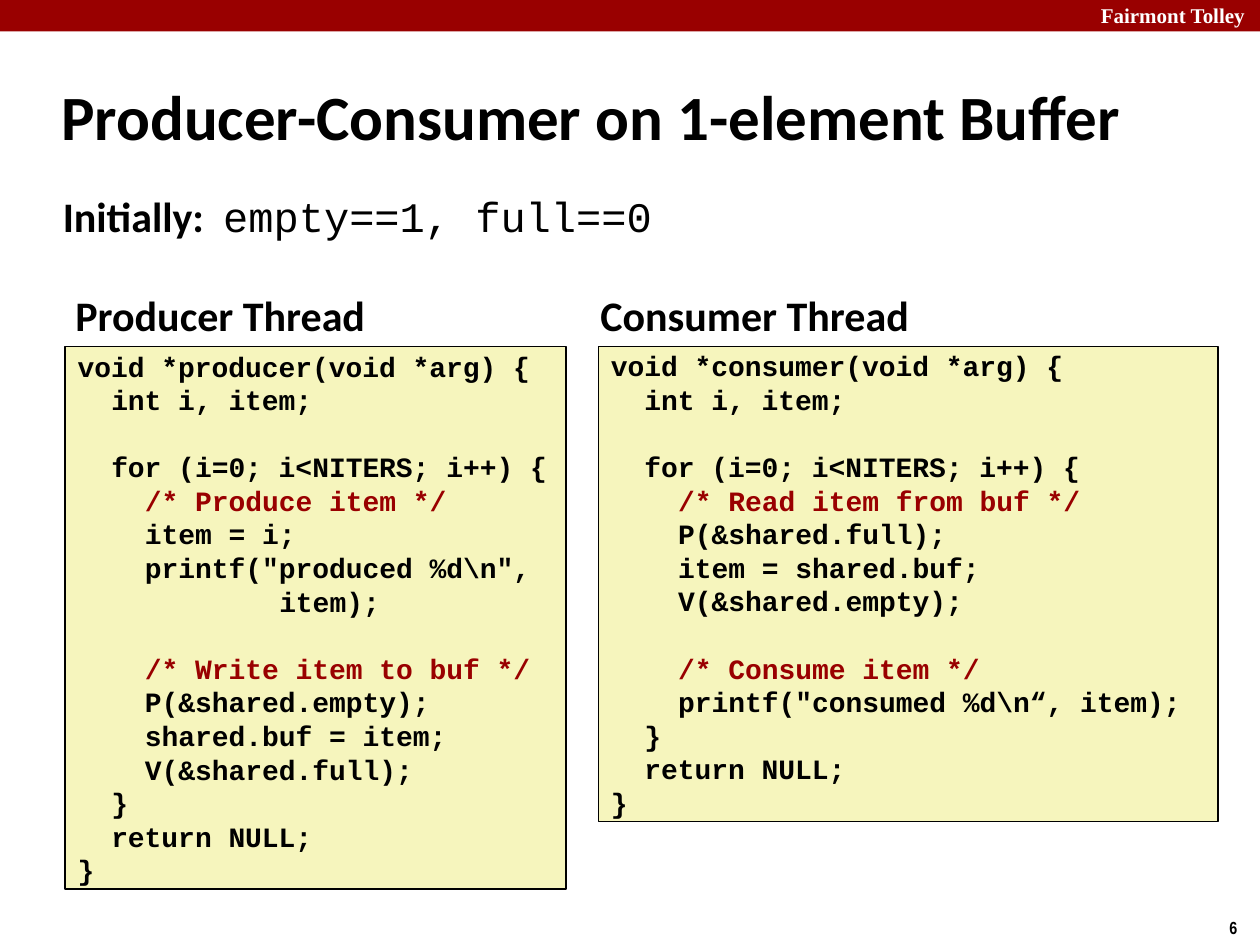
from pptx import Presentation
from pptx.dml.color import RGBColor
from pptx.enum.shapes import MSO_SHAPE
from pptx.enum.text import MSO_ANCHOR, PP_ALIGN
from pptx.util import Pt

RECTANGLE = MSO_SHAPE.RECTANGLE
TOP, MIDDLE = MSO_ANCHOR.TOP, MSO_ANCHOR.MIDDLE
LEFT = PP_ALIGN.LEFT

BLACK = RGBColor(0x00, 0x00, 0x00)
WHITE = RGBColor(0xFF, 0xFF, 0xFF)
RED = RGBColor(0x99, 0x00, 0x00)
CREAM = RGBColor(0xF6, 0xF5, 0xBD)

HEADING_FONT = "Calibri"
CODE_FONT = "Courier New"
CODE_SIZE = 16
CODE_LINE = 19.2
INDENT_STEP = 19.2  # two characters of code

PRODUCER = """void *producer(void *arg) {
  int i, item;

  for (i=0; i<NITERS; i++) {
    /* Produce item */
    item = i;
    printf("produced %d\\n",
            item);

    /* Write item to buf */
    P(&shared.empty);
    shared.buf = item;
    V(&shared.full);
  }
  return NULL;
}"""

CONSUMER = """void *consumer(void *arg) {
  int i, item;

  for (i=0; i<NITERS; i++) {
    /* Read item from buf */
    P(&shared.full);
    item = shared.buf;
    V(&shared.empty);

    /* Consume item */
    printf("consumed %d\\n“, item);
  }
  return NULL;
}"""


class SlideWriter:
    """Holds the style and the current slide; lengths are in points."""

    def __init__(self, deck):
        self.page = deck.slides.add_slide(deck.slide_layouts[6])

    def style(self, para, size, font, color=BLACK, bold=True):
        para.alignment = LEFT
        para.font.size = Pt(size)
        para.font.name = font
        para.font.bold = bold
        para.font.color.rgb = color

    def rectangle(self, left, top, width, height, fill, line=None):
        box = self.page.shapes.add_shape(
            RECTANGLE, Pt(left), Pt(top), Pt(width), Pt(height))
        box.shadow.inherit = False
        box.fill.solid()
        box.fill.fore_color.rgb = fill
        if line is None:
            box.line.fill.background()
        else:
            box.line.color.rgb = line
            box.line.width = Pt(1)
        return box

    def text(self, left, top, width, height, words, size,
             font=HEADING_FONT, color=BLACK, anchor=TOP, margin=3.6):
        box = self.page.shapes.add_textbox(
            Pt(left), Pt(top), Pt(width), Pt(height))
        frame = box.text_frame
        frame.word_wrap = True
        frame.vertical_anchor = anchor
        frame.margin_top = frame.margin_bottom = Pt(margin)
        para = frame.paragraphs[0]
        para.add_run().text = words
        self.style(para, size, font, color)
        return para

    def code(self, left, top, width, height, source):
        frame = self.rectangle(left, top, width, height, CREAM, BLACK).text_frame
        frame.word_wrap = True
        frame.vertical_anchor = MIDDLE
        frame.margin_top = frame.margin_bottom = 0
        para = frame.paragraphs[0]
        gap = 0
        for number, line in enumerate(source.split("\n")):
            words = line.lstrip()
            if not words:
                gap = CODE_LINE
                continue
            if number:
                para = frame.add_paragraph()
            para.add_run().text = words
            color = RED if words.startswith("/*") else BLACK
            self.style(para, CODE_SIZE, CODE_FONT, color)
            para.line_spacing = Pt(CODE_LINE)
            para.space_before = Pt(gap)
            level = (len(line) - len(words)) // 2
            properties = para._p.get_or_add_pPr()
            properties.set("marL", str(int(Pt(level * INDENT_STEP))))
            properties.set("indent", "0")
            gap = 0


def main():
    deck = Presentation()
    deck.slide_width, deck.slide_height = Pt(720), Pt(540)
    writer = SlideWriter(deck)

    # Banner and page number
    writer.rectangle(0, 0, 720, 18, RED)
    writer.text(622, -2, 103, 22, "Fairmont Tolley", 12, "Times New Roman", WHITE)
    writer.text(695.5, 520.5, 24.5, 19.5, "6", 10, "Arial Narrow")

    # Title and starting state
    writer.text(28, 36, 650, 60, "Producer-Consumer on 1-element Buffer", 36,
                anchor=MIDDLE)
    state = writer.text(28.8, 108.7, 354, 29, "Initially:  ", 24,
                        anchor=MIDDLE, margin=0)
    span = state.add_run()
    span.text = "empty==1, full==0"
    span.font.name = CODE_FONT
    span.font.bold = False

    # Thread headings and code
    writer.text(36, 162, 190, 36, "Producer Thread", 24)
    writer.text(336, 162, 200, 36, "Consumer Thread", 24)
    writer.code(37.3, 198, 286, 310, PRODUCER)
    writer.code(342, 198, 354, 271.5, CONSUMER)

    deck.save("out.pptx")


if __name__ == "__main__":
    main()
